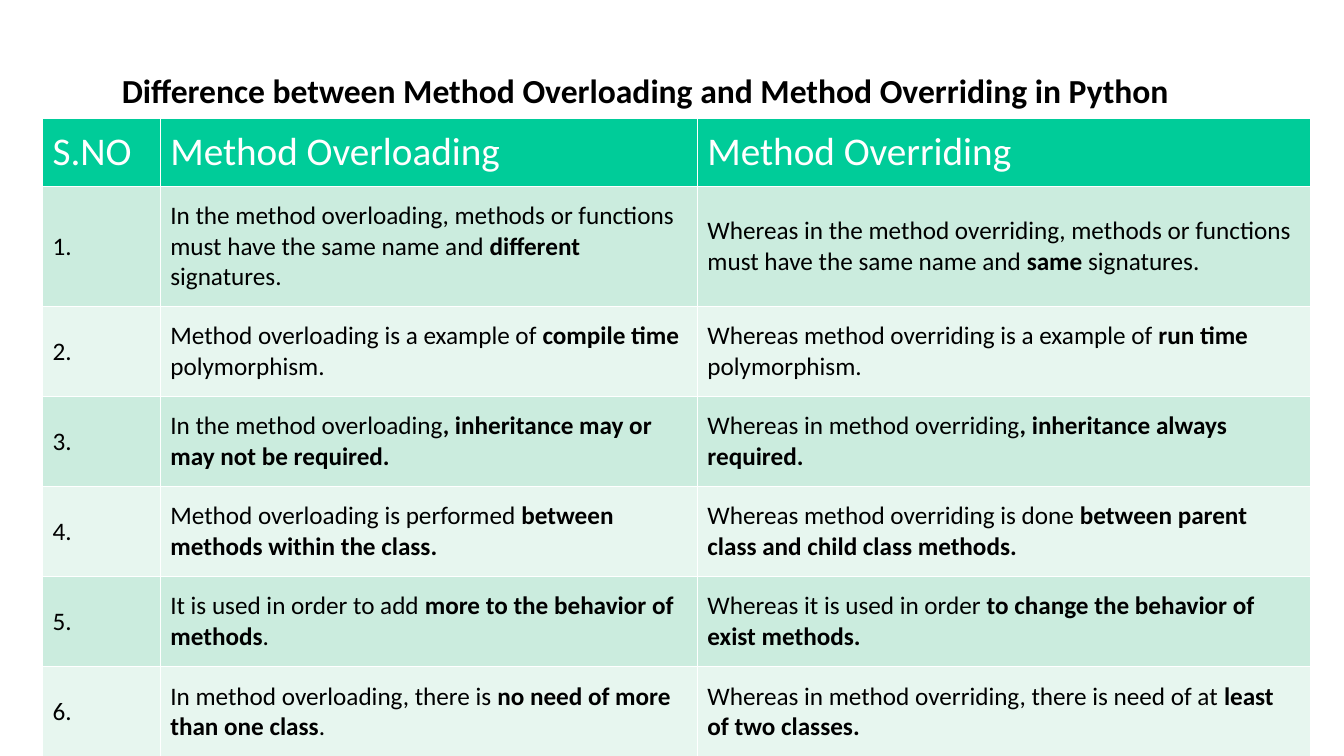
from lxml import etree
from pptx import Presentation
from pptx import util as u
from pptx.dml.color import RGBColor
from pptx.enum import text
from pptx.oxml import ns

BLACK = RGBColor(0, 0, 0)
WHITE = RGBColor(0xFF, 0xFF, 0xFF)
GREEN = RGBColor(0x00, 0xCC, 0x99)
MINT = RGBColor(0xCB, 0xEC, 0xDE)
PALE = RGBColor(0xE7, 0xF6, 0xEF)

TITLE = "Difference between Method Overloading and Method Overriding in Python"
HEADS = ("S.NO", "Method Overloading", "Method Overriding")
# Asterisks enclose the bold words.
PAIRS = (
    ("In the method overloading, methods or functions must have the same name and *different* signatures.",
     "Whereas in the method overriding, methods or functions must have the same name and *same* signatures."),
    ("Method overloading is a example of *compile time *polymorphism.",
     "Whereas method overriding is a example of *run time* polymorphism."),
    ("In the method overloading*, inheritance may or may not be required.*",
     "Whereas in method overriding*, inheritance always required.*"),
    ("Method overloading is performed *between methods within the class.*",
     "Whereas method overriding is done *between parent class and child class methods.*"),
    ("It is used in order to add *more to the behavior of methods*.",
     "Whereas it is used in order *to change the behavior of exist methods.*"),
    ("In method overloading, there is *no need of more than one class*.",
     "Whereas in method overriding, there is need of at *least of two classes.*"),
)
WIDTHS = (2.97, 13.54, 15.44)
HEIGHTS = (1.73, 3.02) + (2.27,) * 5
THIN, THICK = 0.45, 1.47


class Deck:
    def __init__(self, wide, high):
        self.font = "Calibri"
        self.prs = Presentation()
        self.prs.slide_width, self.prs.slide_height = u.Cm(wide), u.Cm(high)
        self.slide = self.prs.slides.add_slide(self.prs.slide_layouts[5])

    def runs(self, para, words, size, color, bold=False):
        """Add runs, switching bold at each asterisk."""
        for i, part in enumerate(words.split("*")):
            if part:
                run = para.add_run()
                run.text = part
                run.font.name = self.font
                run.font.size = u.Pt(size)
                run.font.bold = bold or i % 2 == 1
                run.font.color.rgb = color

    def title(self, words, left, top, wide, high):
        box = self.slide.shapes.title
        box.left, box.top = u.Cm(left), u.Cm(top)
        box.width, box.height = u.Cm(wide), u.Cm(high)
        frame = box.text_frame
        frame.auto_size = text.MSO_AUTO_SIZE.NONE
        frame.vertical_anchor = text.MSO_ANCHOR.MIDDLE
        para = frame.paragraphs[0]
        para.alignment = text.PP_ALIGN.CENTER
        para.line_spacing = 0.97
        self.runs(para, words, 24, BLACK, True)

    def edge(self, cell, side, width):
        line = etree.SubElement(cell._tc.get_or_add_tcPr(), ns.qn("a:ln" + side),
                                w=str(u.Pt(width)))
        fill = etree.SubElement(line, ns.qn("a:solidFill"))
        etree.SubElement(fill, ns.qn("a:srgbClr"), val=str(WHITE))

    def cell(self, cell, words, row):
        cell.vertical_anchor = text.MSO_ANCHOR.MIDDLE
        for side in "LRTB":
            thick = (row, side) in ((0, "B"), (1, "T"))
            self.edge(cell, side, THICK if thick else THIN)
        cell.fill.solid()
        cell.fill.fore_color.rgb = GREEN if row == 0 else MINT if row % 2 else PALE
        size, color = (28, WHITE) if row == 0 else (18, BLACK)
        self.runs(cell.text_frame.paragraphs[0], words, size, color)

    def table(self, rows, left, top, widths, heights):
        grid = self.slide.shapes.add_table(
            len(rows), len(widths), u.Cm(left), u.Cm(top),
            u.Cm(sum(widths)), u.Cm(sum(heights))).table
        for col, wide in zip(grid.columns, widths):
            col.width = u.Cm(wide)
        for r, (row, high) in enumerate(zip(rows, heights)):
            grid.rows[r].height = u.Cm(high)
            for c, words in enumerate(row):
                self.cell(grid.cell(r, c), words, r)


def main():
    deck = Deck(33.88, 19.05)
    deck.title(TITLE, 0.84, 1.47, 30.86, 1.7)
    rows = [HEADS] + [(f"{n}.", *pair) for n, pair in enumerate(PAIRS, 1)]
    deck.table(rows, 1.07, 2.97, WIDTHS, HEIGHTS)
    deck.prs.save("out.pptx")


if __name__ == "__main__":
    main()
